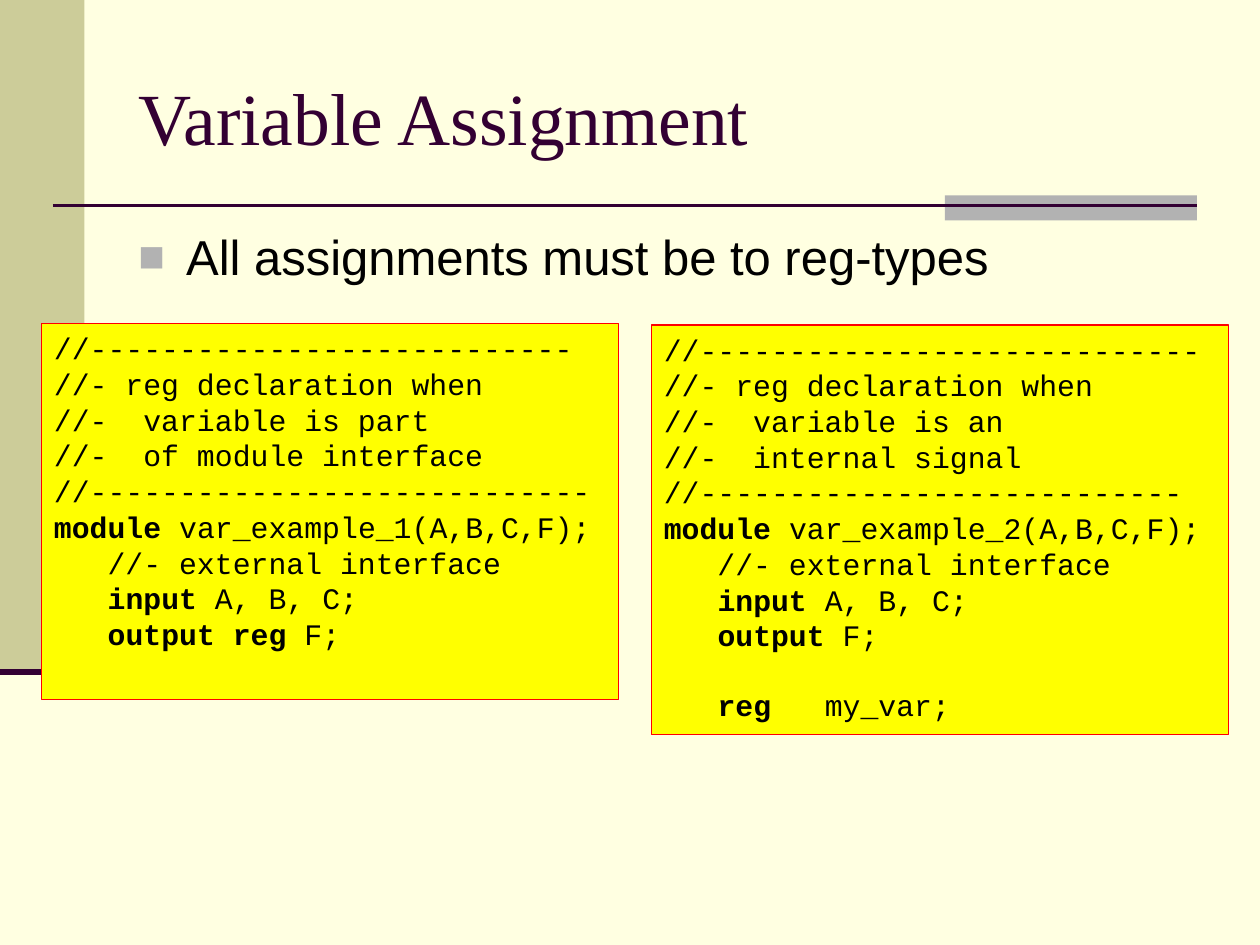
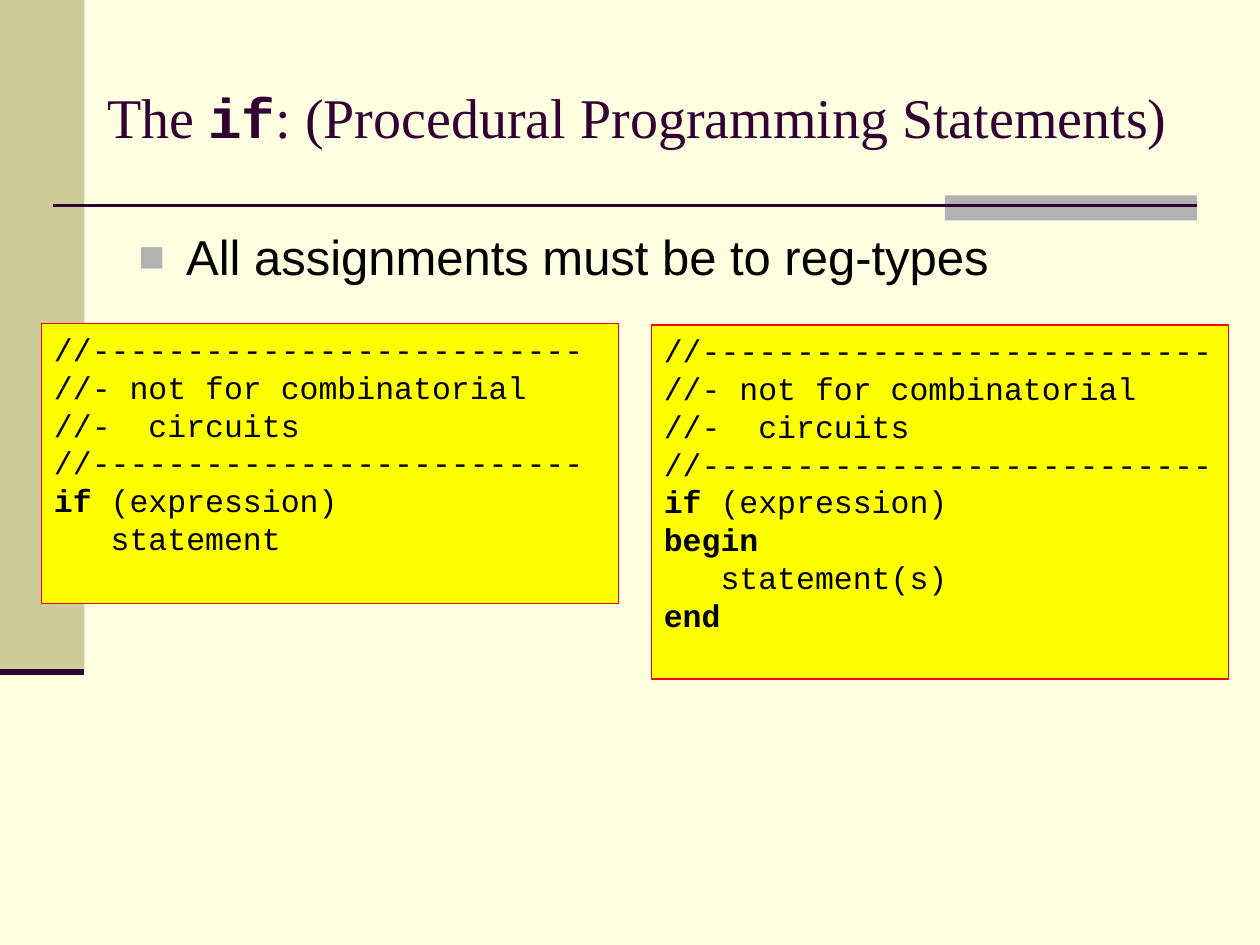
import pptx
import pptx.dml.color
import pptx.enum.shapes
import pptx.enum.text
import pptx.oxml.ns
import pptx.util
from lxml import etree

Inches = pptx.util.Inches
Pt = pptx.util.Pt
RGBColor = pptx.dml.color.RGBColor
qn = pptx.oxml.ns.qn

CREAM = RGBColor(0xFF, 0xFF, 0xE1)
KHAKI = RGBColor(0xCC, 0xCC, 0x99)
GREY = RGBColor(0xB2, 0xB2, 0xB2)
PLUM = RGBColor(0x33, 0x00, 0x33)
YELLOW = RGBColor(0xFF, 0xFF, 0x00)
RED = RGBColor(0xFF, 0x00, 0x00)
BLACK = RGBColor(0x00, 0x00, 0x00)

TITLE_FONT = "Times New Roman"
BODY_FONT = "Arial"
CODE_FONT = "Courier New"
CODE_LINE_HEIGHT = 1.13
BOLD_MARK = "*"

CODE_WIDTH = 4.58
LEFT_CODE = (0.33, 2.57)
RIGHT_CODE = (5.17, 2.58)


def rule(dashes):
    return "//" + "-" * dashes


SLIDES = [
    {
        "title": "Variable Assignment",
        "title_left": 1,
        "title_size": 42,
        "code_size": 17,
        "code_heights": (2.98, 3.25),
        "code": (
            [
                rule(27),
                "//- reg declaration when",
                "//-  variable is part",
                "//-  of module interface",
                rule(28),
                "*module* var_example_1(A,B,C,F);",
                "   //- external interface",
                "   *input* A, B, C;",
                "   *output reg* F;",
            ],
            [
                rule(28),
                "//- reg declaration when",
                "//-  variable is an",
                "//-  internal signal",
                rule(27),
                "*module* var_example_2(A,B,C,F);",
                "   //- external interface",
                "   *input* A, B, C;",
                "   *output* F;",
                "",
                "   *reg*   my_var;",
            ],
        ),
    },
    {
        "title": "The *if*: (Procedural Programming Statements)",
        "title_left": 0.75,
        "title_size": 32,
        "code_size": 18,
        "code_heights": (2.22, 2.81),
        "code": (
            [
                rule(26),
                "//- not for combinatorial",
                "//-  circuits",
                rule(26),
                "*if* (expression)",
                "   statement",
            ],
            [
                rule(27),
                "//- not for combinatorial",
                "//-  circuits",
                rule(27),
                "*if* (expression)",
                "*begin*",
                "   statement(s)",
                "*end*",
            ],
        ),
    },
]


def set_font(paragraph, name, size, color):
    paragraph.alignment = pptx.enum.text.PP_ALIGN.LEFT
    paragraph.font.name = name
    paragraph.font.size = Pt(size)
    paragraph.font.color.rgb = color


def add_marked_runs(paragraph, text, bold_font=None):
    for index, part in enumerate(text.split(BOLD_MARK)):
        if part:
            run = paragraph.add_run()
            run.text = part
            if index % 2:
                run.font.bold = True
                run.font.name = bold_font


def add_rectangle(slide, left, top, width, height, fill):
    shape = slide.shapes.add_shape(
        pptx.enum.shapes.MSO_SHAPE.RECTANGLE,
        Inches(left), Inches(top), Inches(width), Inches(height))
    shape.shadow.inherit = False
    shape.fill.solid()
    shape.fill.fore_color.rgb = fill
    shape.line.fill.background()
    return shape


def add_horizontal_line(slide, left, right, top, weight):
    line = slide.shapes.add_connector(
        pptx.enum.shapes.MSO_CONNECTOR.STRAIGHT,
        Inches(left), Inches(top), Inches(right), Inches(top))
    line.line.color.rgb = PLUM
    line.line.width = Pt(weight)
    etree.SubElement(line._element.spPr, qn("a:effectLst"))


def add_decoration(slide, sidebar_width=0.67, sidebar_height=5.33, right=9.5):
    add_rectangle(slide, 0, 0, sidebar_width, sidebar_height, KHAKI)
    add_rectangle(slide, right - 2, 1.55, 2, 0.2, GREY)
    add_horizontal_line(slide, 0.42, right, 1.63, 1.5)
    add_horizontal_line(slide, 0, sidebar_width, sidebar_height, 3.5)


def format_title(slide, text, size, left, top=0.3, right=9.5, height=1.25):
    title = slide.shapes.title
    title.left, title.top = Inches(left), Inches(top)
    title.width, title.height = Inches(right - left), Inches(height)
    frame = title.text_frame
    frame.word_wrap = True
    frame.auto_size = pptx.enum.text.MSO_AUTO_SIZE.NONE
    frame.vertical_anchor = pptx.enum.text.MSO_ANCHOR.MIDDLE
    paragraph = frame.paragraphs[0]
    set_font(paragraph, TITLE_FONT, size, PLUM)
    add_marked_runs(paragraph, text, CODE_FONT)


def add_square_bullet(paragraph, indent):
    properties = paragraph._p.get_or_add_pPr()
    properties.set("marL", str(Inches(indent)))
    properties.set("indent", str(-Inches(indent)))
    color = etree.SubElement(properties, qn("a:buClr"))
    etree.SubElement(color, qn("a:srgbClr"), val=str(GREY))
    etree.SubElement(properties, qn("a:buSzPct"), val="90000")
    etree.SubElement(properties, qn("a:buFont"), typeface=BODY_FONT)
    etree.SubElement(properties, qn("a:buChar"), char="■")


def add_body(slide, text, left, top, width, height):
    box = slide.shapes.add_textbox(
        Inches(left), Inches(top), Inches(width), Inches(height))
    box.text_frame.word_wrap = True
    paragraph = box.text_frame.paragraphs[0]
    paragraph.text = text
    paragraph.space_before = Pt(5.6)
    add_square_bullet(paragraph, 0.38)
    set_font(paragraph, BODY_FONT, 28, BLACK)


def add_code_box(slide, lines, size, left, top, width, height):
    box = add_rectangle(slide, left, top, width, height, YELLOW)
    box.line.color.rgb = RED
    box.line.width = Pt(0.75)
    frame = box.text_frame
    frame.word_wrap = True
    frame.vertical_anchor = pptx.enum.text.MSO_ANCHOR.TOP
    paragraph = frame.paragraphs[0]
    for previous, line in zip([None] + lines, lines):
        if not line:
            continue
        if previous is not None:
            paragraph = frame.add_paragraph()
        if previous == "":
            paragraph.space_before = Pt(size * CODE_LINE_HEIGHT)
        set_font(paragraph, CODE_FONT, size, BLACK)
        add_marked_runs(paragraph, line)


def add_code_slide(presentation, content):
    slide = presentation.slides.add_slide(presentation.slide_layouts[5])
    add_decoration(slide)
    format_title(slide, content["title"], content["title_size"], content["title_left"])
    add_body(slide, "All assignments must be to reg-types", 1, 1.75, 8.5, 4.95)
    for (left, top), height, lines in zip(
            (LEFT_CODE, RIGHT_CODE), content["code_heights"], content["code"]):
        add_code_box(slide, lines, content["code_size"], left, top, CODE_WIDTH, height)


def main():
    presentation = pptx.Presentation()
    presentation.slide_width = Inches(10)
    presentation.slide_height = Inches(7.5)
    background = presentation.slide_master.background.fill
    background.solid()
    background.fore_color.rgb = CREAM
    for content in SLIDES:
        add_code_slide(presentation, content)
    presentation.save("out.pptx")


if __name__ == "__main__":
    main()
